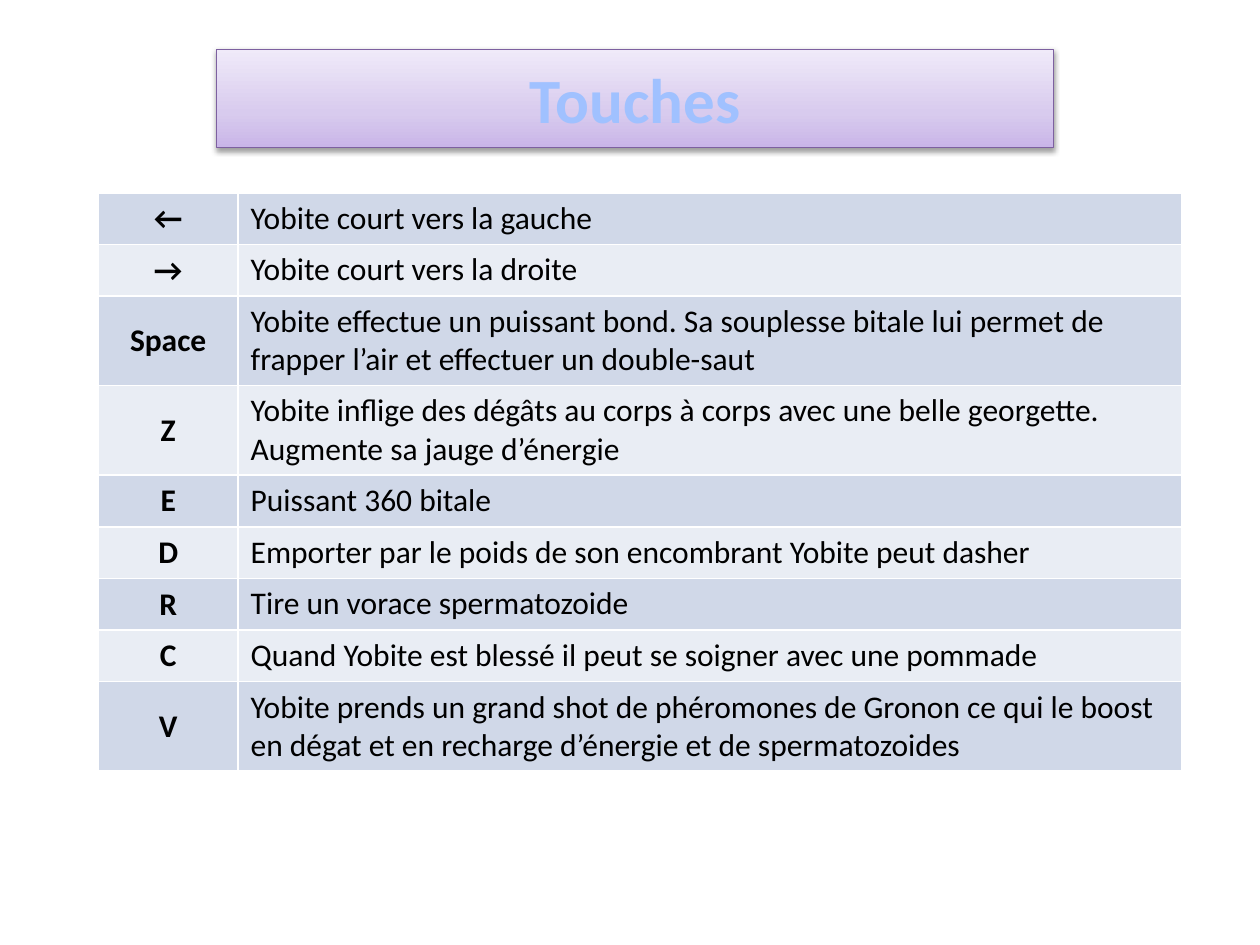
from lxml.etree import SubElement
from pptx import Presentation
from pptx.dml.color import RGBColor
from pptx.enum.text import MSO_ANCHOR, PP_ALIGN
from pptx.oxml import parse_xml
from pptx.oxml.ns import nsdecls, qn
from pptx.util import Inches, Pt

COLORS = {
    "title": "A0C1FF",
    "outline": "7D60A0",
    "shadow": "000000",
    "text": "000000",
    "border": "FFFFFF",
    "odd_row": "D0D8E8",
    "even_row": "E9EDF4",
}
BANNER_STOPS = [(0, "C9B5E8"), (35, "D8CBEE"), (100, "F0EAF9")]
KEYS = [
    ("←", "Yobite court vers la gauche"),
    ("→", "Yobite court vers la droite"),
    ("Space", "Yobite effectue un puissant bond. Sa souplesse bitale lui permet de "
              "frapper l’air et effectuer un double-saut"),
    ("Z", "Yobite inflige des dégâts au corps à corps avec une belle georgette. "
          "Augmente sa jauge d’énergie"),
    ("E", "Puissant 360 bitale"),
    ("D", "Emporter par le poids de son encombrant Yobite peut dasher"),
    ("R", "Tire un vorace spermatozoide"),
    ("C", "Quand Yobite est blessé il peut se soigner avec une pommade"),
    ("V", "Yobite prends un grand shot de phéromones de Gronon ce qui le boost "
          "en dégat et en recharge d’énergie et de spermatozoides"),
]
LINE_LENGTH = 75
ROW_HEIGHTS = {1: 0.41, 2: 0.71}


class SlideBuilder:
    font_name = "Calibri"

    def __init__(self, slide):
        self.slide = slide

    def color(self, name):
        return RGBColor.from_string(COLORS[name])

    def format_paragraph(self, paragraph, size, color, bold, alignment):
        paragraph.alignment = alignment
        font = paragraph.font
        font.name, font.size, font.bold = self.font_name, Pt(size), bold
        font.color.rgb = self.color(color)

    def title_banner(self, text, left, top, width, height):
        shape = self.slide.shapes.title
        shape.left, shape.top = Inches(left), Inches(top)
        shape.width, shape.height = Inches(width), Inches(height)
        properties = shape._element.spPr
        stops = "".join(
            f'<a:gs pos="{position * 1000}"><a:srgbClr val="{color}"/></a:gs>'
            for position, color in BANNER_STOPS
        )
        for xml in (
            f'<a:prstGeom {nsdecls("a")} prst="roundRect"><a:avLst/></a:prstGeom>',
            f'<a:gradFill {nsdecls("a")}><a:gsLst>{stops}</a:gsLst>'
            '<a:lin ang="16200000" scaled="0"/></a:gradFill>',
            f'<a:effectLst {nsdecls("a")}><a:outerShdw blurRad="{Pt(3.1)}" '
            f'dist="{Pt(1.6)}" dir="5400000" rotWithShape="0">'
            f'<a:srgbClr val="{COLORS["shadow"]}"><a:alpha val="38000"/></a:srgbClr>'
            '</a:outerShdw></a:effectLst>',
        ):
            properties.append(parse_xml(xml))
        shape.line.color.rgb = self.color("outline")
        shape.line.width = Pt(0.75)
        frame = shape.text_frame
        frame.text = text
        frame.vertical_anchor = MSO_ANCHOR.MIDDLE
        self.format_paragraph(frame.paragraphs[0], 36, "title", True, PP_ALIGN.CENTER)

    def cell_borders(self, cell):
        properties = cell._tc.get_or_add_tcPr()
        for index, side in enumerate(("lnL", "lnR", "lnT", "lnB")):
            line = SubElement(properties, qn(f"a:{side}"), w=str(Pt(1)))
            fill = SubElement(line, qn("a:solidFill"))
            SubElement(fill, qn("a:srgbClr"), val=COLORS["border"])
            properties.insert(index, line)

    def key_table(self, rows, left, top, column_widths):
        heights = [ROW_HEIGHTS[1 + (len(action) > LINE_LENGTH)] for _, action in rows]
        table = self.slide.shapes.add_table(
            len(rows), len(column_widths), Inches(left), Inches(top),
            Inches(sum(column_widths)), Inches(sum(heights)),
        ).table
        table.first_row = False
        for column, width in zip(table.columns, column_widths):
            column.width = Inches(width)
        for index, (row, height, texts) in enumerate(zip(table.rows, heights, rows)):
            row.height = Inches(height)
            for cell, text, is_key in zip(row.cells, texts, (True, False)):
                cell.text = text
                cell.vertical_anchor = MSO_ANCHOR.MIDDLE if is_key else MSO_ANCHOR.TOP
                cell.fill.solid()
                cell.fill.fore_color.rgb = self.color("even_row" if index % 2 else "odd_row")
                self.cell_borders(cell)
                alignment = PP_ALIGN.CENTER if is_key else PP_ALIGN.LEFT
                self.format_paragraph(
                    cell.text_frame.paragraphs[0], 18, "text", is_key, alignment)


def main():
    presentation = Presentation()
    presentation.slide_width, presentation.slide_height = Inches(10), Inches(7.5)
    builder = SlideBuilder(presentation.slides.add_slide(presentation.slide_layouts[5]))
    builder.title_banner("Touches", 1.72, 0.39, 6.64, 0.78)
    builder.key_table(KEYS, 0.78, 1.53, (1.11, 7.49))
    presentation.save("out.pptx")


if __name__ == "__main__":
    main()
